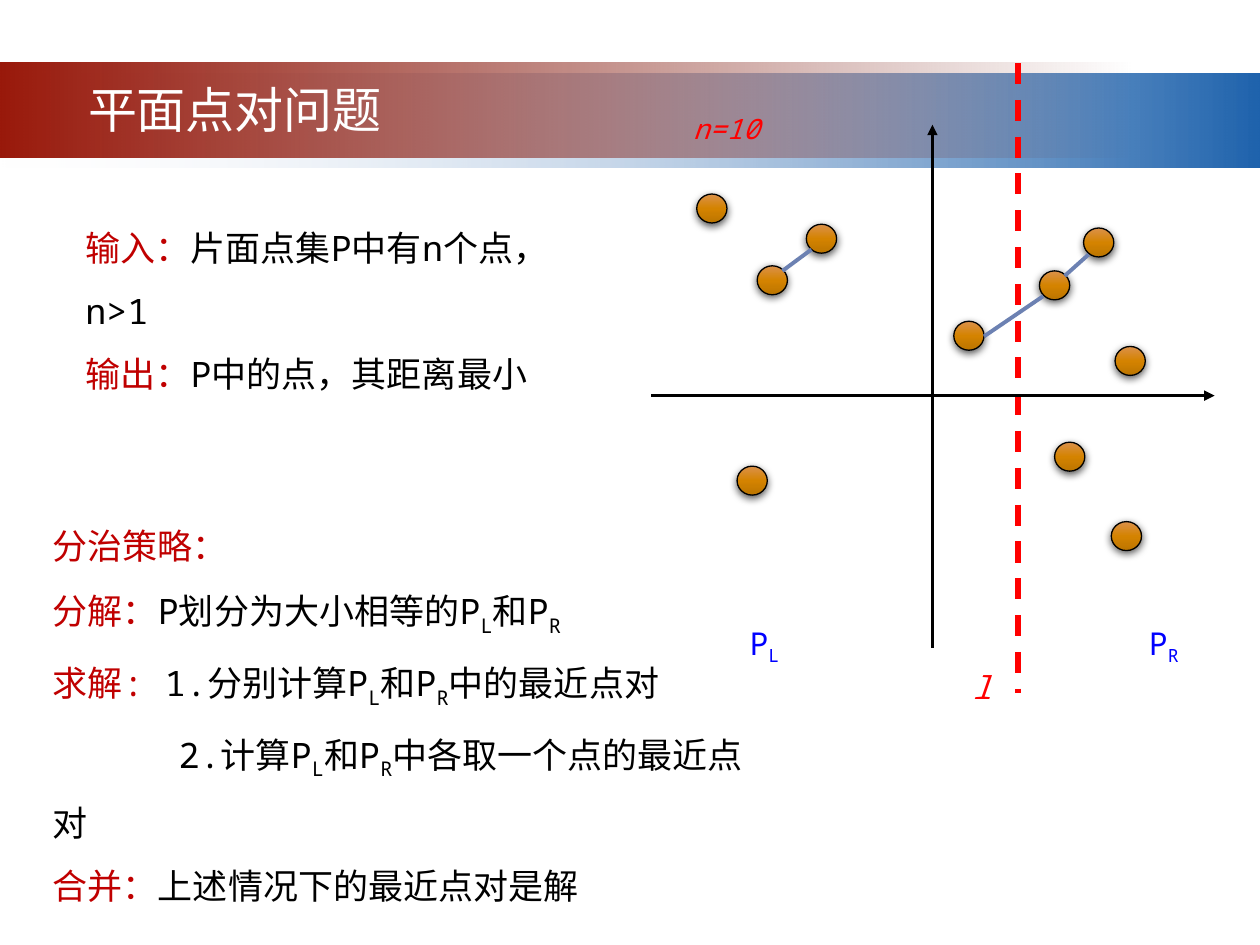
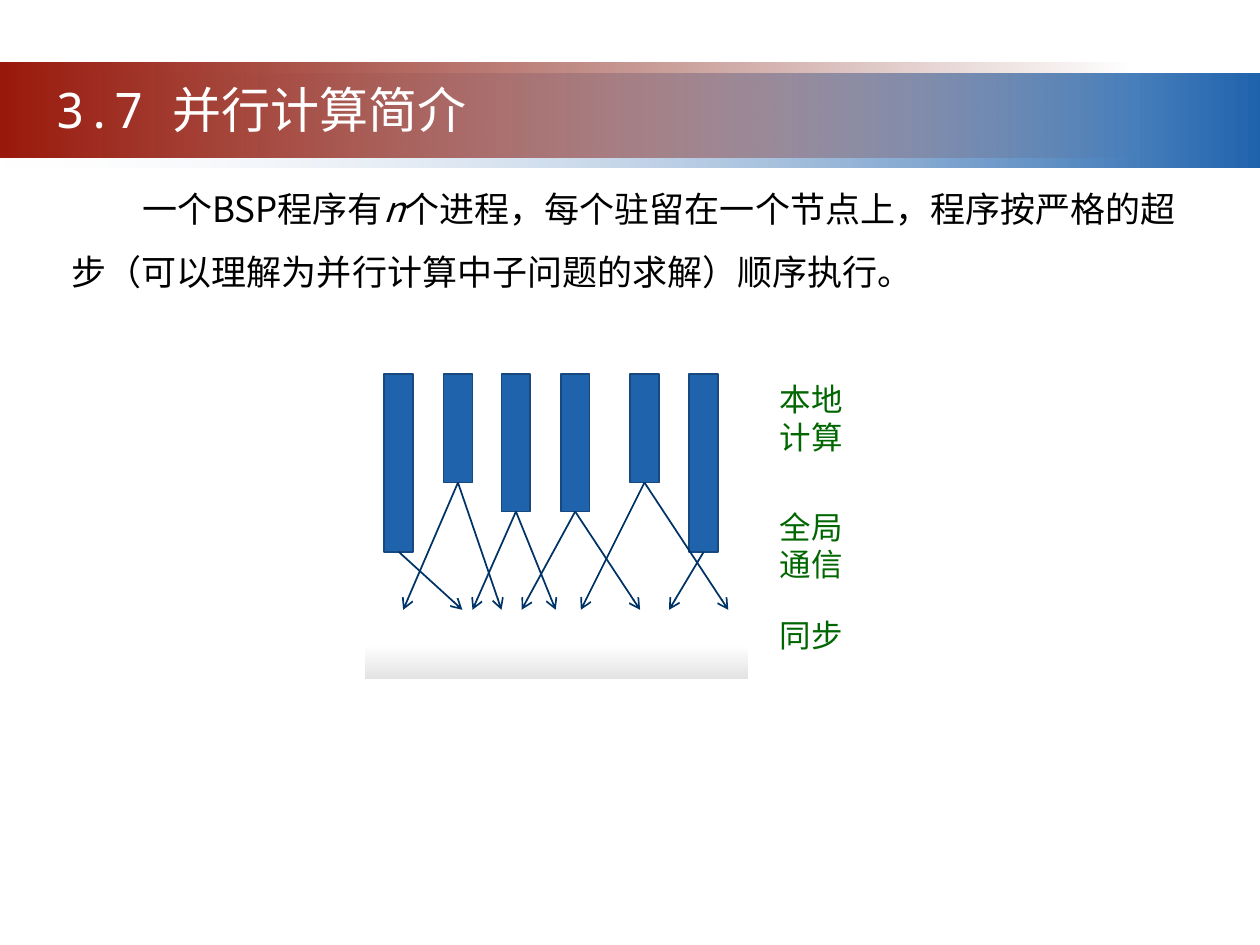
from lxml.etree import SubElement
from pptx import Presentation
from pptx.dml.color import RGBColor
from pptx.enum.dml import MSO_LINE
from pptx.enum.shapes import MSO_CONNECTOR, MSO_SHAPE
from pptx.enum.text import PP_ALIGN
from pptx.oxml.ns import qn
from pptx.util import Inches, Pt

SANS, MONO = "Noto Sans CJK SC", "Noto Sans Mono"
WHITE = RGBColor(0xFF, 0xFF, 0xFF)
BLACK = RGBColor(0x00, 0x00, 0x00)
RED = RGBColor(0xFF, 0x00, 0x00)
DARK_RED = RGBColor(0xC0, 0x00, 0x00)
BLUE = RGBColor(0x00, 0x00, 0xFF)
GREEN = RGBColor(0x00, 0x66, 0x00)
NAVY = RGBColor(0x00, 0x33, 0x66)
PAIR_BLUE = RGBColor(0x6C, 0x81, 0xB2)
BAR_BLUE = RGBColor(0x1F, 0x63, 0xAD)
BAR_EDGE = RGBColor(0x17, 0x49, 0x80)
BAND_PALE = RGBColor(0xF1, 0xF2, 0xF7)
BAND_RED = RGBColor(0x99, 0x19, 0x0B)
BAND_MAROON = RGBColor(0x6D, 0x12, 0x08)
DOT_LIGHT = RGBColor(0xDB, 0x91, 0x4B)
DOT_MID = RGBColor(0xD4, 0x83, 0x00)
DOT_DARK = RGBColor(0xBC, 0x75, 0x00)
SYNC_GREY = RGBColor(0xE3, 0xE3, 0xE3)


def add_box(slide, kind, left, top, width, height, edge=None, weight=1):
    """Add a shadowless preset shape with an optional outline."""
    box = slide.shapes.add_shape(kind, Inches(left), Inches(top), Inches(width), Inches(height))
    box.shadow.inherit = False
    if edge is None:
        box.line.fill.background()
    else:
        box.line.color.rgb = edge
        box.line.width = Pt(weight)
    return box


def set_gradient(box, angle, stops):
    """Fill a shape with (position, colour, opacity) stops, all in percent."""
    box.fill.gradient()
    gradient = box._element.spPr.find(qn("a:gradFill"))
    for part in list(gradient):
        gradient.remove(part)
    stop_list = SubElement(gradient, qn("a:gsLst"))
    for position, colour, opacity in stops:
        stop = SubElement(stop_list, qn("a:gs"), pos=str(position * 1000))
        tint = SubElement(stop, qn("a:srgbClr"), val=str(colour))
        SubElement(tint, qn("a:alpha"), val=str(opacity * 1000))
    SubElement(gradient, qn("a:lin"), ang=str(angle * 60000), scaled="0")


def add_drop_shadow(box):
    """Give a shape a soft shadow straight below it."""
    effects = box._element.spPr.find(qn("a:effectLst"))
    shadow = SubElement(effects, qn("a:outerShdw"), blurRad=str(Pt(4.5)), dist=str(Pt(1.5)),
                        dir="5400000", rotWithShape="0")
    shade = SubElement(shadow, qn("a:srgbClr"), val=str(BLACK))
    SubElement(shade, qn("a:alpha"), val="63000")


def add_line(slide, start, end, colour, weight, head=None):
    """Draw a straight line, with an arrowhead at its end if one is named."""
    line = slide.shapes.add_connector(MSO_CONNECTOR.STRAIGHT, *map(Inches, (*start, *end)))
    line.line.color.rgb = colour
    line.line.width = Pt(weight)
    if head:
        SubElement(line.get_or_add_ln(), qn("a:tailEnd"), type=head)
    SubElement(line._element.spPr, qn("a:effectLst"))
    return line


def add_text_frame(slide, left, top, width, height):
    """Add an empty wrapping text box and return its frame."""
    frame = slide.shapes.add_textbox(*map(Inches, (left, top, width, height))).text_frame
    frame.word_wrap = True
    return frame


def style_paragraph(paragraph, size, colour, font=MONO, italic=False):
    """Set the font that all runs of a paragraph share."""
    paragraph.font.size = Pt(size)
    paragraph.font.name = font
    paragraph.font.color.rgb = colour
    paragraph.font.italic = italic
    SubElement(paragraph._p.pPr.find(qn("a:defRPr")), qn("a:ea"), typeface=SANS)


def add_run(paragraph, text):
    """Append a run and return it."""
    run = paragraph.add_run()
    run.text = text
    return run


def add_subscripted(paragraph, text):
    """Append text in which the letter after each underscore is a subscript."""
    first, *rest = text.split("_")
    add_run(paragraph, first)
    for piece in rest:
        add_run(paragraph, piece[0])._r.get_or_add_rPr().set("baseline", "-25000")
        if piece[1:]:
            add_run(paragraph, piece[1:])


def add_label(slide, left, top, lines, size, colour, width=0.55, italic=False):
    """Place a short label, one paragraph a line."""
    frame = add_text_frame(slide, left, top, width, 0.1 + 0.3 * len(lines))
    for index, line in enumerate(lines):
        paragraph = frame.add_paragraph() if index else frame.paragraphs[0]
        style_paragraph(paragraph, size, colour, italic=italic)
        add_subscripted(paragraph, line)


def add_statements(slide, left, top, width, height, statements):
    """List statements, each with a dark red lead and a black body."""
    frame = add_text_frame(slide, left, top, width, height)
    for index, (lead, body) in enumerate(statements):
        paragraph = frame.add_paragraph() if index else frame.paragraphs[0]
        if body:
            paragraph.line_spacing = 1.5
        if not lead:
            paragraph._p.get_or_add_pPr().set("indent", str(Inches(1)))
        style_paragraph(paragraph, 20, BLACK)
        if lead:
            add_run(paragraph, lead).font.color.rgb = DARK_RED
        if body:
            add_subscripted(paragraph, body)


def add_bands(slide):
    """Draw the two overlapping bands behind the title."""
    blue_band = add_box(slide, MSO_SHAPE.RECTANGLE, 0, 0.58, 10, 0.75)
    set_gradient(blue_band, 0, [(0, BAND_PALE, 0), (100, BAR_BLUE, 100)])
    red_band = add_box(slide, MSO_SHAPE.RECTANGLE, 0, 0.5, 9, 0.75)
    set_gradient(red_band, 0, [(0, BAND_RED, 100), (100, BAND_MAROON, 0)])


def add_title(slide, left, width, title, number=None):
    """Write the title on the bands, centred after its number if it has one."""
    paragraph = add_text_frame(slide, left, 0.58, width, 0.57).paragraphs[0]
    style_paragraph(paragraph, 28, WHITE, SANS)
    if number:
        paragraph.alignment = PP_ALIGN.CENTER
        add_run(paragraph, number).font.name = MONO
    add_run(paragraph, title)


def add_point_plane(slide, left, top):
    """Plot the points, axes and dividing line from a top left corner."""
    def at(x, y):
        return left + x, top + y

    divider = add_line(slide, at(2.91, 0), at(2.91, 5), RED, 3)
    divider.line.dash_style = MSO_LINE.DASH
    add_line(slide, at(0, 2.64), at(4.47, 2.64), BLACK, 1.5, "triangle")
    add_line(slide, at(2.23, 4.64), at(2.23, 0.49), BLACK, 1.5, "triangle")

    points = [(0.36, 1.04), (1.23, 1.28), (0.84, 1.61), (2.4, 2.05), (0.68, 3.2),
              (3.08, 1.65), (3.68, 2.25), (3.2, 3.01), (3.65, 3.64), (3.43, 1.31)]
    for point in points:
        dot = add_box(slide, MSO_SHAPE.OVAL, *at(*point), 0.24, 0.23, BLACK, 0.75)
        set_gradient(dot, 90, [(0, DOT_LIGHT, 100), (50, DOT_MID, 100), (100, DOT_DARK, 100)])
        add_drop_shadow(dot)

    closest_pairs = [((1.04, 1.65), (1.27, 1.48)), ((3.28, 1.69), (3.47, 1.52)),
                     ((2.64, 2.17), (3.11, 1.85))]
    for start, end in closest_pairs:
        add_line(slide, at(*start), at(*end), PAIR_BLUE, 2.25)

    add_label(slide, *at(0.68, 4.4), ["P_L"], 18, BLUE)
    add_label(slide, *at(3.85, 4.4), ["P_R"], 18, BLUE)
    add_label(slide, *at(2.45, 4.75), ["l"], 18, RED, width=0.43, italic=True)
    add_label(slide, *at(0.23, 0.34), ["n=10"], 16, RED, width=0.84, italic=True)


def add_superstep(slide, left, top):
    """Draw one superstep: process bars, messages and the barrier."""
    bar_width, barrier_top = 0.23, 1.87
    processes = [(0.16, 1.41, [0.78]), (0.63, 0.86, [0.31, 1.09]), (1.09, 1.09, [0.86, 1.52]),
                 (1.56, 1.09, [1.25, 2.19]), (2.11, 0.86, [1.72, 2.89]), (2.58, 1.41, [2.42])]
    for x, length, _ in processes:
        bar = add_box(slide, MSO_SHAPE.RECTANGLE, left + x, top, bar_width, length, BAR_EDGE)
        bar.fill.solid()
        bar.fill.fore_color.rgb = BAR_BLUE
    barrier = add_box(slide, MSO_SHAPE.RECTANGLE, left, top + barrier_top, 3.05, 0.55, WHITE, 0.5)
    set_gradient(barrier, 90, [(0, WHITE, 100), (50, WHITE, 100), (100, SYNC_GREY, 100)])
    for x, length, targets in processes:
        for target in targets:
            add_line(slide, (left + x + bar_width / 2, top + length),
                     (left + target, top + barrier_top), NAVY, 1, "arrow")
    phases = [(0, ["本地", "计算"]), (1.01, ["全局", "通信"]), (barrier_top, ["同步"])]
    for y, lines in phases:
        add_label(slide, left + 3.2, top + y, lines, 18, GREEN, width=0.78)


def build_closest_pair(slide):
    """Build the closest pair slide."""
    add_bands(slide)
    add_title(slide, 0.6, 6.88, "平面点对问题")
    add_statements(slide, 0.58, 1.58, 4.34, 1.05, [
        ("输入：", "片面点集P中有n个点，n>1"),
        ("输出：", "P中的点，其距离最小"),
    ])
    add_statements(slide, 0.32, 4.11, 5.88, 2.4, [
        ("分治策略：", ""),
        ("分解：", "P划分为大小相等的P_L和P_R"),
        ("求解: ", "1.分别计算P_L和P_R中的最近点对"),
        ("", "2.计算P_L和P_R中各取一个点的最近点对"),
        ("合并：", "上述情况下的最近点对是解"),
    ])
    add_point_plane(slide, 5.17, 0.5)


def build_parallel_computing(slide):
    """Build the parallel computing slide."""
    add_bands(slide)
    add_title(slide, 0.08, 3.98, "并行计算简介", "3.7 ")
    paragraph = add_text_frame(slide, 0.47, 1.27, 9.14, 1.05).paragraphs[0]
    paragraph.line_spacing = 1.5
    paragraph._p.get_or_add_pPr().set("indent", str(Inches(0.56)))
    style_paragraph(paragraph, 20, BLACK, SANS)
    add_run(paragraph, "一个BSP程序有")
    add_run(paragraph, "n").font.italic = True
    add_run(paragraph, "个进程，每个驻留在一个节点上，程序按严格的超步"
                       "（可以理解为并行计算中子问题的求解）顺序执行。")
    add_superstep(slide, 2.89, 2.97)


def main():
    """Build and save the presentation."""
    presentation = Presentation()
    presentation.slide_width, presentation.slide_height = Inches(10), Inches(7.5)
    for build in (build_closest_pair, build_parallel_computing):
        build(presentation.slides.add_slide(presentation.slide_layouts[6]))
    presentation.save("out.pptx")


if __name__ == "__main__":
    main()
